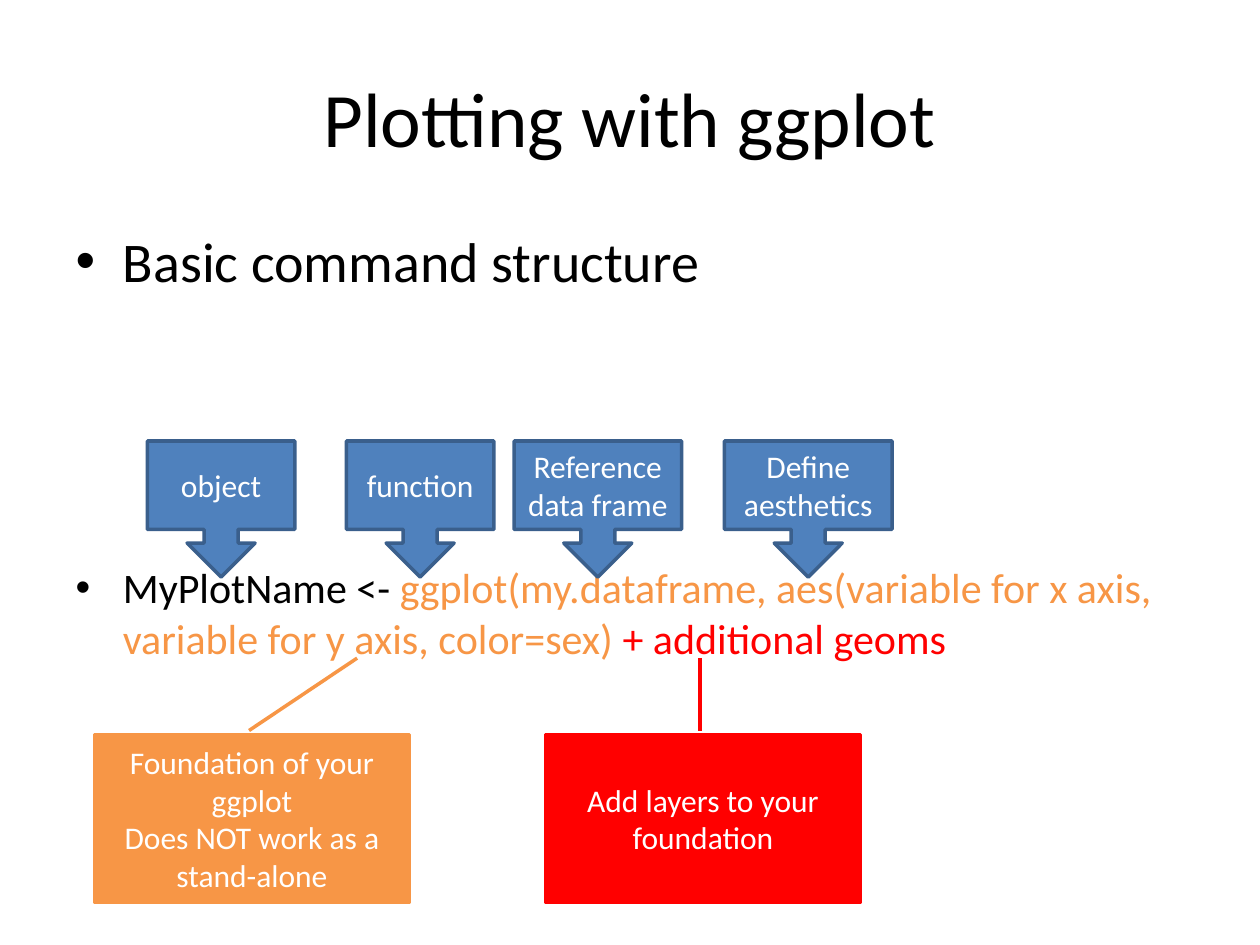
from dataclasses import dataclass

import pptx
import pptx.dml.color
import pptx.enum.shapes
import pptx.enum.text
import pptx.util

Inches = pptx.util.Inches
Pt = pptx.util.Pt
RGBColor = pptx.dml.color.RGBColor
Preset = pptx.enum.shapes.MSO_SHAPE
Align = pptx.enum.text.PP_ALIGN
Anchor = pptx.enum.text.MSO_ANCHOR


@dataclass(frozen=True)
class Theme:
    font: str = "Calibri"
    black: RGBColor = RGBColor(0x00, 0x00, 0x00)
    white: RGBColor = RGBColor(0xFF, 0xFF, 0xFF)
    blue: RGBColor = RGBColor(0x4F, 0x81, 0xBD)
    dark_blue: RGBColor = RGBColor(0x3A, 0x5F, 0x8C)
    orange: RGBColor = RGBColor(0xF7, 0x96, 0x46)
    red: RGBColor = RGBColor(0xFF, 0x00, 0x00)
    title_size: int = 44
    bullet_size: int = 32
    command_size: int = 24
    label_size: int = 18
    outline: int = 2


@dataclass(frozen=True)
class Callout:
    text: str
    left: float
    top: float
    width: float
    height: float
    preset: Preset
    fill: RGBColor
    line: RGBColor
    adjustments: tuple[float, ...] = ()


THEME = Theme()


def part_label(text: str, left: float, width: float) -> Callout:
    """Describe a blue arrow pointing down at one part of the command."""
    return Callout(text, left, 3.5, width, 1.08, Preset.DOWN_ARROW_CALLOUT,
                   THEME.blue, THEME.dark_blue)


def explanation(text: str, left: float, color: RGBColor, leader_x: float) -> Callout:
    """Describe a box whose leader line rises to the command at leader_x of its width."""
    return Callout(text, left, 5.83, 2.5, 1.33, Preset.LINE_CALLOUT_1, color, color,
                   (-0.024, 0.491, -0.456, leader_x))


CALLOUTS = [
    part_label("object", 1.17, 1.17),
    part_label("function", 2.75, 1.17),
    part_label("Reference data frame", 4.08, 1.33),
    part_label("Define aesthetics", 5.75, 1.33),
    explanation("Foundation of your ggplot\nDoes NOT work as a stand-alone",
                0.75, THEME.orange, 0.834),
    explanation("Add layers to your foundation", 4.33, THEME.red, 0.491),
]

COMMAND = [
    ("MyPlotName <- ", THEME.black),
    ("ggplot(my.dataframe, aes(variable for x axis, variable for y axis, color=sex) ",
     THEME.orange),
    ("+ additional geoms", THEME.red),
]


def format_run(run, size: int, color: RGBColor) -> None:
    run.font.name = THEME.font
    run.font.size = Pt(size)
    run.font.color.rgb = color


def place(shape, left: float, top: float, width: float, height: float) -> None:
    shape.left, shape.top = Inches(left), Inches(top)
    shape.width, shape.height = Inches(width), Inches(height)


def write_title(title) -> None:
    place(title, 0.5, 0.3, 9, 1.25)
    title.text_frame.text = "Plotting with ggplot"
    format_run(title.text_frame.paragraphs[0].runs[0], THEME.title_size, THEME.black)


def write_body(body) -> None:
    place(body, 0.5, 1.75, 9, 4.95)
    frame = body.text_frame
    frame.text = "Basic command structure"
    format_run(frame.paragraphs[0].runs[0], THEME.bullet_size, THEME.black)

    command = frame.add_paragraph()
    command.space_before = Pt(153)
    for text, color in COMMAND:
        run = command.add_run()
        run.text = text
        format_run(run, THEME.command_size, color)


def draw_callout(slide, callout: Callout) -> None:
    shape = slide.shapes.add_shape(
        callout.preset, Inches(callout.left), Inches(callout.top),
        Inches(callout.width), Inches(callout.height))
    for index, value in enumerate(callout.adjustments):
        shape.adjustments[index] = value
    shape.shadow.inherit = False
    shape.fill.solid()
    shape.fill.fore_color.rgb = callout.fill
    shape.line.color.rgb = callout.line
    shape.line.width = Pt(THEME.outline)

    frame = shape.text_frame
    frame.word_wrap = True
    frame.vertical_anchor = Anchor.MIDDLE
    frame.text = callout.text
    for paragraph in frame.paragraphs:
        paragraph.alignment = Align.CENTER
        for run in paragraph.runs:
            format_run(run, THEME.label_size, THEME.white)


def main() -> None:
    presentation = pptx.Presentation()
    presentation.slide_width = Inches(10)
    presentation.slide_height = Inches(7.5)
    slide = presentation.slides.add_slide(presentation.slide_layouts[1])
    write_title(slide.shapes.title)
    write_body(slide.placeholders[1])
    for callout in CALLOUTS:
        draw_callout(slide, callout)
    presentation.save("out.pptx")


if __name__ == "__main__":
    main()
